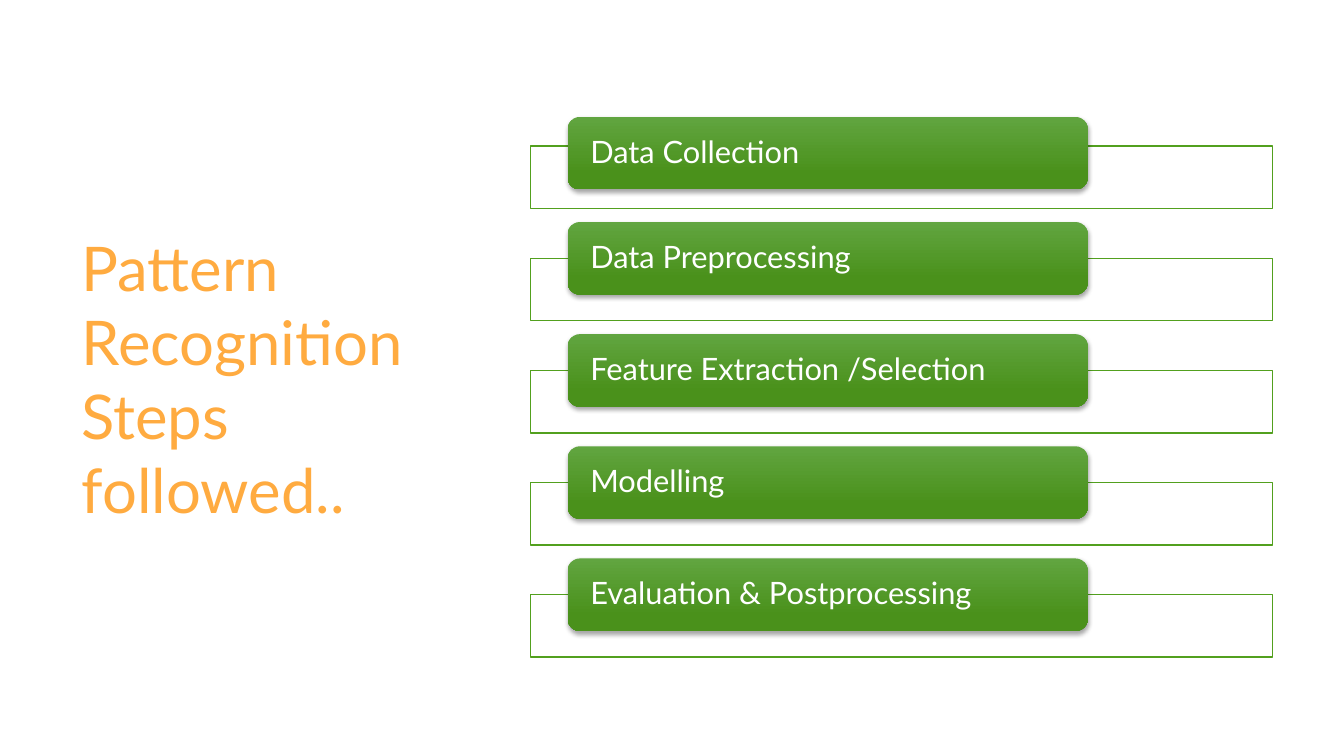
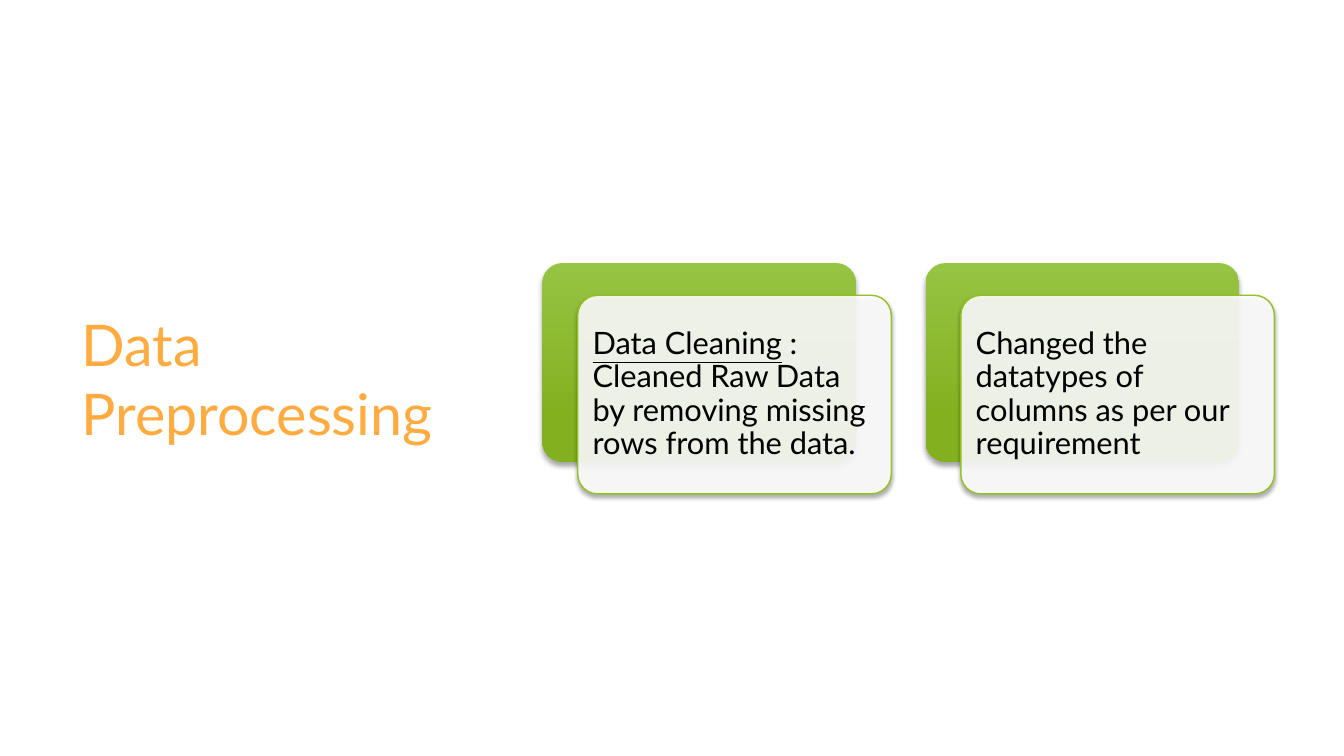
from lxml.etree import SubElement
from pptx import Presentation
from pptx.dml.color import RGBColor
from pptx.enum.shapes import MSO_SHAPE
from pptx.enum.text import MSO_ANCHOR, PP_ALIGN
from pptx.oxml.ns import qn
from pptx.util import Inches, Pt

COLORS = {
    "title": "FFAB40",
    "white": "FFFFFF",
    "black": "000000",
    "frame": "52A01E",
    "bar_top": "61A540",
    "bar_bottom": "4A911B",
    "card_line": "90C223",
    "card_top": "96C443",
    "card_bottom": "83B01F",
}
FONT = "Lato"
BODY_SIZE = 22


def rgb(name):
    return RGBColor.from_string(COLORS[name])


class Deck:
    """Holds the presentation, its style and the current slide."""

    def __init__(self):
        self.prs = Presentation()
        self.prs.slide_width, self.prs.slide_height = Inches(13.33), Inches(7.5)
        self.slide = None

    def new_slide(self, title, size):
        self.slide = self.prs.slides.add_slide(self.prs.slide_layouts[6])
        sp = self.slide.shapes.add_textbox(
            Inches(0.71), Inches(1.51), Inches(3.88), Inches(4.48))
        self.text(sp, [[(title, False)]], size, "title", 0.1, 0.05)

    def text(self, sp, paragraphs, size, color, inset_x, inset_y, spacing=1.0):
        """Each paragraph is a list of (text, underlined) runs."""
        tf = sp.text_frame
        tf.word_wrap = True
        tf.vertical_anchor = MSO_ANCHOR.MIDDLE
        tf.margin_left = tf.margin_right = Inches(inset_x)
        tf.margin_top = tf.margin_bottom = Inches(inset_y)
        for i, runs in enumerate(paragraphs):
            p = tf.add_paragraph() if i else tf.paragraphs[0]
            p.alignment, p.line_spacing = PP_ALIGN.LEFT, spacing
            p.font.name, p.font.size = FONT, Pt(size)
            p.font.color.rgb = rgb(color)
            for words, underlined in runs:
                r = p.add_run()
                r.text = words
                if underlined:
                    r.font.underline = True

    def shape(self, kind, x, y, w, h, corner=None):
        sp = self.slide.shapes.add_shape(
            kind, Inches(x), Inches(y), Inches(w), Inches(h))
        sp.shadow.inherit = False
        if corner is not None:
            sp.adjustments[0] = corner
        return sp

    def glass(self, sp, line):
        """Nearly opaque white fill with a thin coloured outline."""
        sp.fill.solid()
        sp.fill.fore_color.rgb = rgb("white")
        clr = sp.fill._xPr.find(".//" + qn("a:srgbClr"))
        SubElement(clr, qn("a:alpha"), val="89000")
        sp.line.color.rgb = rgb(line)
        sp.line.width = Pt(1)

    def gradient(self, sp, top, bottom):
        sp.fill.gradient()
        sp.fill.gradient_angle = 270
        for stop, color, pos in zip(sp.fill.gradient_stops, (top, bottom), (0, 0.78)):
            stop.color.rgb = rgb(color)
            stop.position = pos
        sp.line.fill.background()

    def drop_shadow(self, sp, blur, dist):
        effects = sp._element.spPr.find(qn("a:effectLst"))
        shadow = SubElement(effects, qn("a:outerShdw"), blurRad=str(Pt(blur)),
                            dist=str(Pt(dist)), dir="5400000", rotWithShape="0")
        clr = SubElement(shadow, qn("a:srgbClr"), val=COLORS["black"])
        SubElement(clr, qn("a:alpha"), val="35000")

    def step(self, label, frame_y, bar_y):
        frame = self.shape(MSO_SHAPE.RECTANGLE, 5.26, frame_y, 7.36, 0.62)
        self.glass(frame, "frame")
        bar = self.shape(MSO_SHAPE.ROUNDED_RECTANGLE, 5.63, bar_y, 5.16, 0.72, 0.17)
        self.gradient(bar, "bar_top", "bar_bottom")
        self.drop_shadow(bar, 3, 2)
        self.text(bar, [[(label, False)]], BODY_SIZE, "white", 0.19, 0, 0.9)

    def card(self, paragraphs, x, y):
        w, h = 3.11, 1.97
        back = self.shape(MSO_SHAPE.ROUNDED_RECTANGLE, x, y, w, h, 0.1)
        self.gradient(back, "card_top", "card_bottom")
        self.drop_shadow(back, 4, 3)
        front = self.shape(MSO_SHAPE.ROUNDED_RECTANGLE, x + 0.35, y + 0.32, w, h, 0.1)
        self.glass(front, "card_line")
        self.drop_shadow(front, 3, 2)
        self.text(front, paragraphs, BODY_SIZE, "black", 0.09, 0.09, 0.9)


def main():
    deck = Deck()

    # Slide 1: list of steps
    deck.new_slide("Pattern Recognition Steps followed..", 44)
    steps = ["Data Collection", "Data Preprocessing", "Feature Extraction /Selection",
             "Modelling", "Evaluation & Postprocessing"]
    first_y, last_y = 1.45, 5.9
    pitch = (last_y - first_y) / (len(steps) - 1)
    for i, label in enumerate(steps):
        frame_y = first_y + i * pitch
        rise = 0.36 if i else 0.29  # the first bar sits lower on its frame
        deck.step(label, frame_y, frame_y - rise)

    # Slide 2: layered cards
    deck.new_slide("Data Preprocessing", 41)
    cards = [
        [[("Data Cleaning", True), (" :", False)],
         [("Cleaned Raw Data by removing missing rows from the data.", False)]],
        [[("Changed the datatypes of columns as per our requirement", False)]],
    ]
    for i, paragraphs in enumerate(cards):
        deck.card(paragraphs, 5.38 + i * 3.8, 2.61)

    deck.prs.save("out.pptx")


if __name__ == "__main__":
    main()
